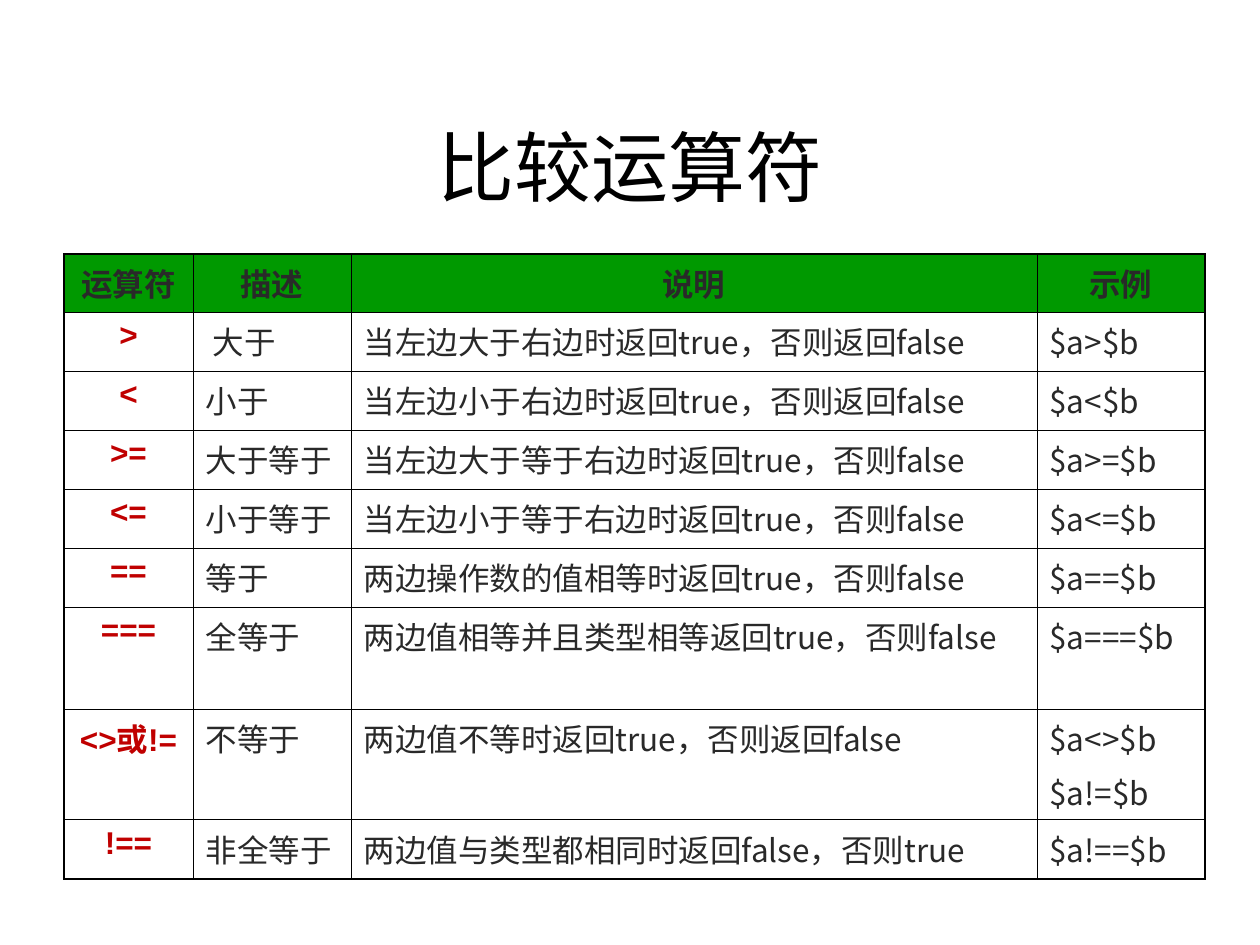
"""Build a slide with a table of comparison operators."""
import lxml.etree
import pptx
import pptx.dml.color
import pptx.enum.text
import pptx.oxml.ns
import pptx.util

BLACK = pptx.dml.color.RGBColor(0x00, 0x00, 0x00)
GREEN = pptx.dml.color.RGBColor(0x00, 0x99, 0x00)
GREY = pptx.dml.color.RGBColor(0x29, 0x29, 0x29)
RED = pptx.dml.color.RGBColor(0xC0, 0x00, 0x00)

PX = 914400 // 126
CENTER = pptx.enum.text.PP_ALIGN.CENTER
LEFT = pptx.enum.text.PP_ALIGN.LEFT
MIDDLE = pptx.enum.text.MSO_ANCHOR.MIDDLE

COLUMNS = [129, 158, 686, 168]
HEIGHTS = [58] + [59] * 5 + [102, 111, 59]
ROWS = [
    ("运算符", "描述", "说明", "示例"),
    (">", " 大于", "当左边大于右边时返回true，否则返回false", "$a>$b"),
    ("<", "小于", "当左边小于右边时返回true，否则返回false", "$a<$b"),
    (">=", "大于等于", "当左边大于等于右边时返回true，否则false", "$a>=$b"),
    ("<=", "小于等于", "当左边小于等于右边时返回true，否则false", "$a<=$b"),
    ("==", "等于", "两边操作数的值相等时返回true，否则false", "$a==$b"),
    ("===", "全等于", "两边值相等并且类型相等返回true，否则false", "$a===$b"),
    ("<>或!=", "不等于", "两边值不等时返回true，否则返回false", "$a<>$b\n$a!=$b"),
    ("!==", "非全等于", "两边值与类型都相同时返回false，否则true", "$a!==$b"),
]


class SlideBuilder:
    latin = "Arial"
    cjk = "Noto Sans CJK SC"
    thin = pptx.util.Pt(0.45)
    thick = pptx.util.Pt(1.08)

    def __init__(self, s):
        self.s = s

    def text(self, tf, text, size, font, color, bold=False, align=LEFT):
        for i, line in enumerate(text.split("\n")):
            p = tf.add_paragraph() if i else tf.paragraphs[0]
            p.alignment = align
            if i:
                p.space_before = pptx.util.Pt(4.5)
            r = p.add_run()
            r.text = line
            r.font.size = pptx.util.Pt(size)
            r.font.name = font
            r.font.bold = bold
            r.font.color.rgb = color
            ea = lxml.etree.SubElement(r.font._element, pptx.oxml.ns.qn("a:ea"))
            ea.set("typeface", self.cjk)

    def title(self, text, x, y, w, h):
        sp = self.s.shapes.add_textbox(x * PX, y * PX, w * PX, h * PX)
        tf = sp.text_frame
        tf.word_wrap = True
        tf.vertical_anchor = MIDDLE
        self.text(tf, text, 44, self.latin, BLACK, align=CENTER)

    def borders(self, cell, outer):
        tc_pr = cell._tc.get_or_add_tcPr()
        for i, side in enumerate("LRTB"):
            ln = lxml.etree.Element(pptx.oxml.ns.qn(f"a:ln{side}"))
            ln.set("w", str(int(self.thick if side in outer else self.thin)))
            fill = lxml.etree.SubElement(ln, pptx.oxml.ns.qn("a:solidFill"))
            lxml.etree.SubElement(fill, pptx.oxml.ns.qn("a:srgbClr")).set("val", str(BLACK))
            tc_pr.insert(i, ln)

    def cell(self, cell, text, header, operator, outer):
        if header:
            cell.fill.solid()
            cell.fill.fore_color.rgb = GREEN
        else:
            cell.fill.background()
        red = operator and not header
        strong = header or operator
        self.text(cell.text_frame, text, 18, self.latin if red else self.cjk,
                  RED if red else GREY, strong, CENTER if strong else LEFT)
        self.borders(cell, outer)

    def table(self, rows, x, y, widths, heights):
        n_rows, n_cols = len(heights), len(widths)
        table = self.s.shapes.add_table(n_rows, n_cols, x * PX, y * PX,
                                        sum(widths) * PX, sum(heights) * PX).table
        table.first_row = table.horz_banding = False
        for column, width in zip(table.columns, widths):
            column.width = width * PX
        for i, (row, height) in enumerate(zip(rows, heights)):
            table.rows[i].height = height * PX
            for j, text in enumerate(row):
                edges = {"L": j == 0, "R": j == n_cols - 1, "T": i == 0, "B": i == n_rows - 1}
                outer = [side for side, at_edge in edges.items() if at_edge]
                self.cell(table.cell(i, j), text, i == 0, j == 0, outer)


def main():
    prs = pptx.Presentation()
    prs.slide_width = pptx.util.Inches(10)
    prs.slide_height = pptx.util.Inches(7.5)
    builder = SlideBuilder(prs.slides.add_slide(prs.slide_layouts[6]))
    builder.title("比较运算符", 63, 87, 1134, 158)
    builder.table(ROWS, 64, 254, COLUMNS, HEIGHTS)
    prs.save("out.pptx")


if __name__ == "__main__":
    main()
